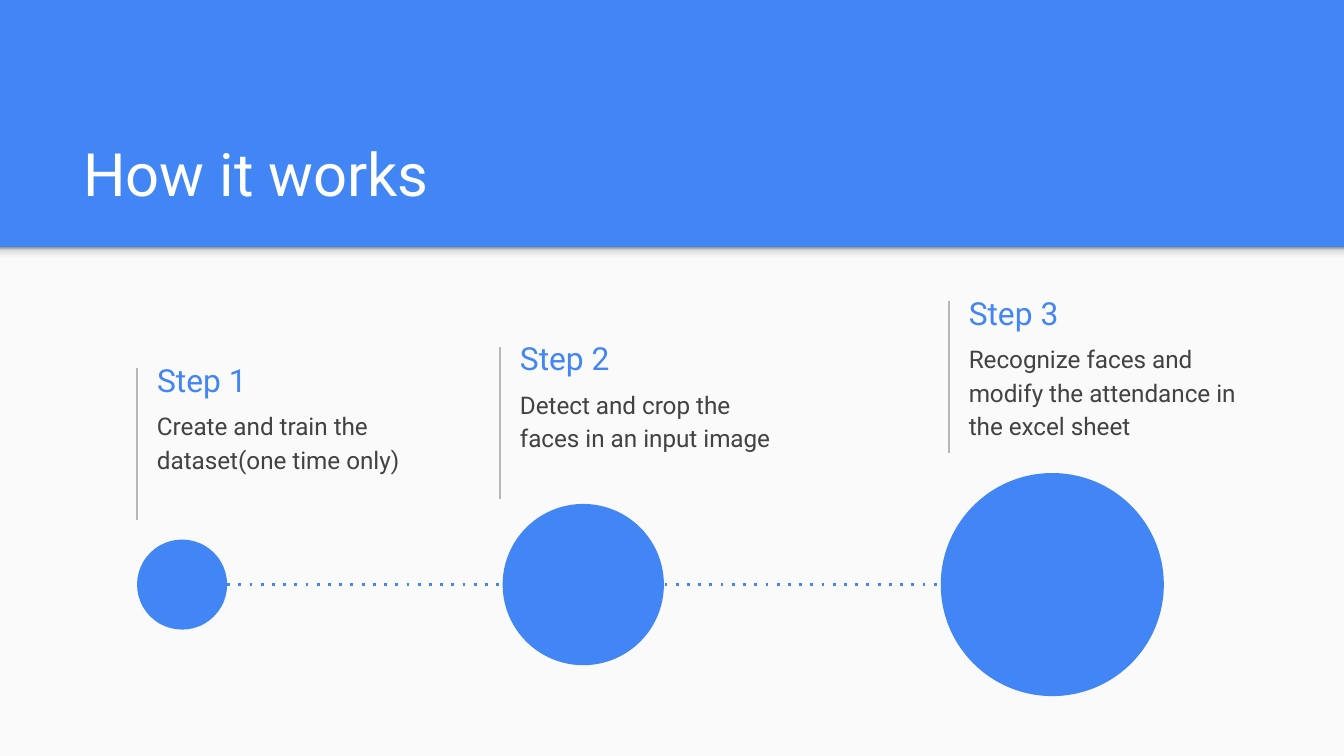
from dataclasses import dataclass

import lxml.etree
import pptx
import pptx.dml.color
import pptx.enum.shapes
import pptx.enum.text
import pptx.oxml.ns
import pptx.util

Inches = pptx.util.Inches
Anchor = pptx.enum.text.MSO_ANCHOR
Shape = pptx.enum.shapes.MSO_SHAPE
qn = pptx.oxml.ns.qn


@dataclass(frozen=True)
class Theme:
    font: str = "Roboto"
    accent: str = "4285F4"
    panel: str = "FAFAFA"
    title: str = "FFFFFF"
    body: str = "424242"
    rule: str = "B7B7B7"
    shade: tuple = ((0, "F9F9F9"), (36, "F9F9F9"), (80, "DEDEDE"), (100, "999999"))
    title_size: float = 32
    heading_size: float = 17
    body_size: float = 13


def rgb(value):
    return pptx.dml.color.RGBColor.from_string(value)


class SlideBuilder:
    def __init__(self, slide, theme):
        self.slide = slide
        self.theme = theme

    def background(self, color):
        fill = self.slide.background.fill
        fill.solid()
        fill.fore_color.rgb = rgb(color)

    def shape(self, kind, left, top, width, height, color):
        shape = self.slide.shapes.add_shape(
            kind, Inches(left), Inches(top), Inches(width), Inches(height))
        shape.shadow.inherit = False
        shape.fill.solid()
        shape.fill.fore_color.rgb = rgb(color)
        shape.line.fill.background()
        return shape

    def shade(self, left, top, width, height):
        """Draw a strip that fades downwards from dark to light."""
        strip = self.shape(Shape.RECTANGLE, left, top, width, height, self.theme.panel)
        strip.fill.gradient()
        strip.fill.gradient_angle = 90
        stops = next(strip.element.iter(qn("a:gsLst")))
        for stop in list(stops):
            stops.remove(stop)
        for percent, color in self.theme.shade:
            stop = lxml.etree.SubElement(stops, qn("a:gs"), pos=str(percent * 1000))
            lxml.etree.SubElement(stop, qn("a:srgbClr"), val=color)

    def line(self, start, end, color, width, dash="solid"):
        line = self.slide.shapes.add_connector(
            pptx.enum.shapes.MSO_CONNECTOR.STRAIGHT,
            *(Inches(value) for value in (*start, *end)))
        line.line.color.rgb = rgb(color)
        line.line.width = pptx.util.Pt(width)
        properties = line.element.spPr
        lxml.etree.SubElement(properties.find(qn("a:ln")), qn("a:prstDash"), val=dash)
        lxml.etree.SubElement(properties, qn("a:effectLst"))

    def text(self, words, left, top, width, height, size, color,
             anchor=Anchor.TOP, line_spacing=None, space_after=0):
        box = self.slide.shapes.add_textbox(
            Inches(left), Inches(top), Inches(width), Inches(height))
        frame = box.text_frame
        frame.word_wrap = True
        frame.vertical_anchor = anchor
        frame.margin_left = frame.margin_right = Inches(0.1)
        frame.margin_top = frame.margin_bottom = Inches(0.1)
        paragraph = frame.paragraphs[0]
        paragraph.text = words
        paragraph.line_spacing = line_spacing
        paragraph.space_after = pptx.util.Pt(space_after)
        paragraph.font.name = self.theme.font
        paragraph.font.size = pptx.util.Pt(size)
        paragraph.font.color.rgb = rgb(color)

    def step(self, heading, description, left, top, body_width):
        """Draw a vertical rule with a heading and description on its right."""
        theme = self.theme
        text_left = left + 0.05
        self.line((left, top), (left, top + 1.13), theme.rule, 0.75)
        self.text(heading, text_left, top - 0.13, 1.98, 0.43,
                  theme.heading_size, theme.accent, Anchor.MIDDLE)
        self.text(description, text_left, top + 0.19, body_width, 0.63,
                  theme.body_size, theme.body, line_spacing=1.15, space_after=16)

    def circle(self, left, middle, diameter):
        self.shape(Shape.OVAL, left, middle - diameter / 2, diameter, diameter,
                   self.theme.accent)


STEPS = (
    ("Create and train the dataset(one time only)", 1.02, 2.74, 2.16),
    ("Detect and crop the faces in an input image", 3.72, 2.58, 2.16),
    ("Recognize faces and modify the attendance in the excel sheet", 7.06, 2.24, 2.22),
)
CIRCLES = ((1.02, 0.67), (3.74, 1.2), (7, 1.66))
TIMELINE_Y = 4.35
PANEL_TOP = 1.84
SLIDE_WIDTH = 10
SLIDE_HEIGHT = SLIDE_WIDTH * 9 / 16


def main():
    presentation = pptx.Presentation()
    presentation.slide_width = Inches(SLIDE_WIDTH)
    presentation.slide_height = Inches(SLIDE_HEIGHT)
    theme = Theme()
    builder = SlideBuilder(
        presentation.slides.add_slide(presentation.slide_layouts[6]), theme)

    builder.background(theme.accent)
    builder.shape(Shape.RECTANGLE, 0, PANEL_TOP, SLIDE_WIDTH,
                  SLIDE_HEIGHT - PANEL_TOP, theme.panel)
    builder.shade(0, PANEL_TOP, SLIDE_WIDTH, 0.12)
    builder.text("How it works", 0.52, 0.81, 8.99, 0.84,
                 theme.title_size, theme.title, Anchor.BOTTOM)

    for number, (description, left, top, width) in enumerate(STEPS, start=1):
        builder.step(f"Step {number}", description, left, top, width)

    first_left, first_diameter = CIRCLES[0]
    builder.line((first_left + first_diameter, TIMELINE_Y), (CIRCLES[-1][0], TIMELINE_Y),
                 theme.accent, 1.5, "dot")
    for left, diameter in CIRCLES:
        builder.circle(left, TIMELINE_Y, diameter)

    presentation.save("out.pptx")


if __name__ == "__main__":
    main()
